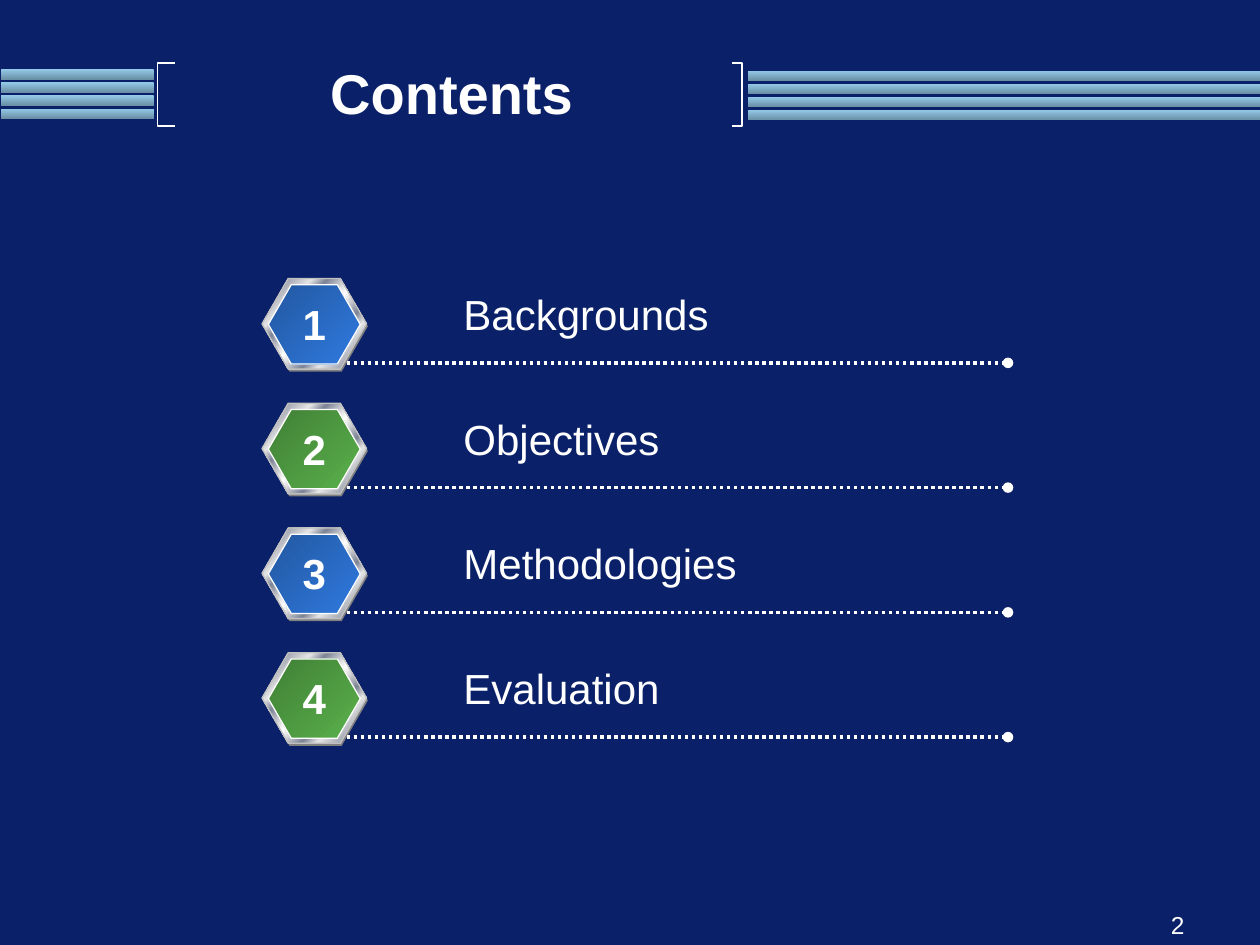
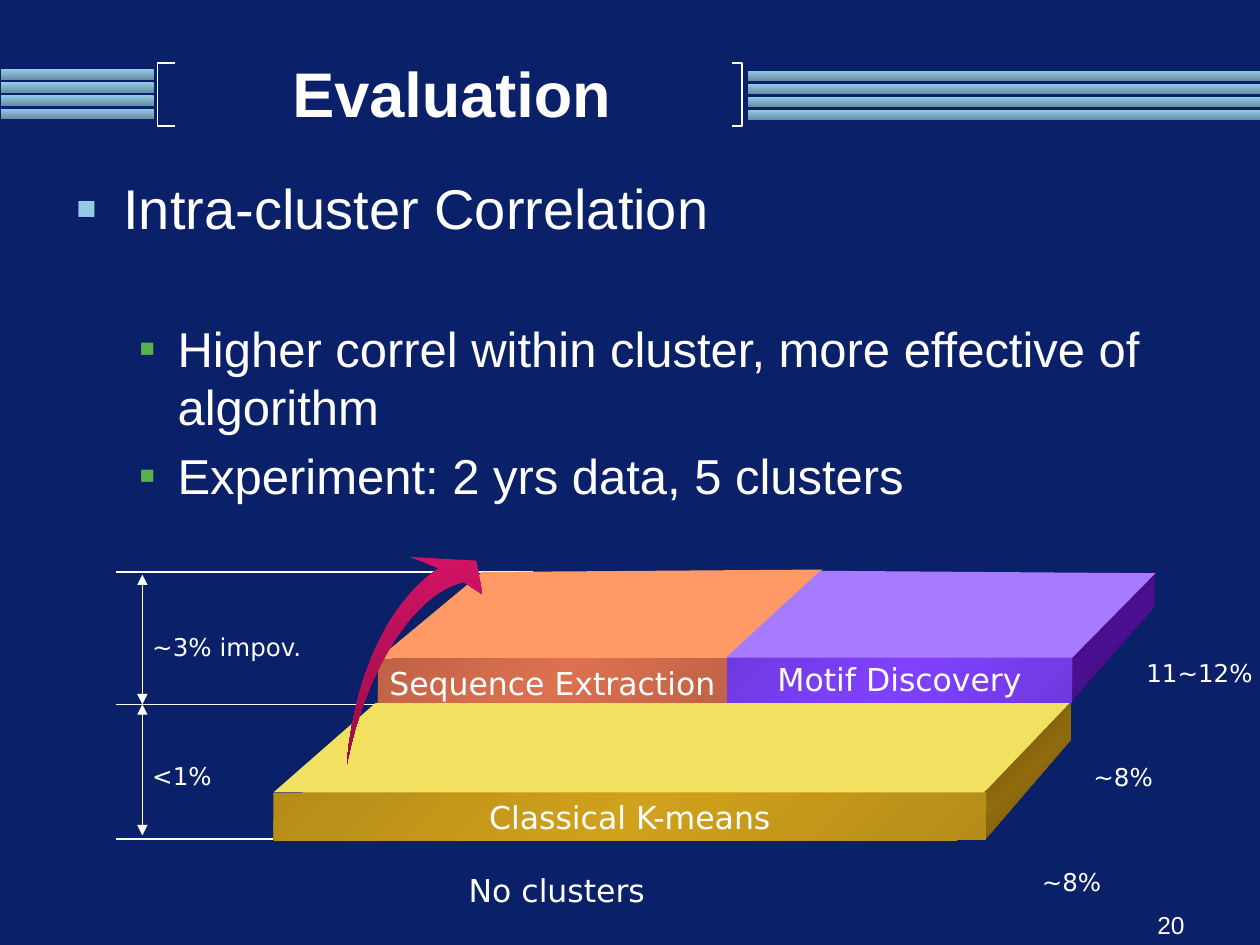
from lxml.etree import SubElement
from pptx import Presentation
from pptx.dml.color import RGBColor
from pptx.enum.dml import MSO_LINE
from pptx.enum.shapes import MSO_CONNECTOR, MSO_SHAPE
from pptx.enum.text import MSO_ANCHOR, MSO_AUTO_SIZE, PP_ALIGN
from pptx.oxml.ns import qn
from pptx.util import Inches, Pt

WIDTH, HEIGHT = Inches(10), Inches(7.5)
CELL = WIDTH / 10
HEADING_FONT, LABEL_FONT = "Arial", "DejaVu Sans"
COLORS = {
    "navy": "0A2068", "white": "FFFFFF", "sky": "94CAE8", "slate": "6A90A6",
    "gray": "808080", "silver": "C0C0C0", "chrome": "E6E6E6", "steel": "7D8496",
    "deep_blue": "2257A0", "blue": "2F7ADF", "deep_green": "407F36", "green": "5AB14B",
    "orange": "FF9966", "rust": "BF6246", "coral": "DC7150",
    "lilac": "A77BFF", "violet": "6F39DE", "bright_violet": "8041FF",
    "dark_violet": "360B68", "side_violet": "4B1092",
    "yellow": "F2E160", "ochre": "B58C18", "gold": "D0A11C",
    "dark_gold": "674D0A", "side_gold": "906B0E",
    "pink": "D11364", "crimson": "960E48",
}
METAL = list(zip(
    (0, 7, 26, 34, 46, 50, 54, 66, 74, 93, 100),
    ("chrome", "steel", "chrome", "steel", "chrome", "white",
     "chrome", "steel", "chrome", "steel", "chrome")))
TOPICS = ("Backgrounds", "Objectives", "Methodologies", "Evaluation")
TOPIC_WIDTHS = (2.17, 1.77, 2.4, 1.78)


def grid(*cells):
    return [round(cell * CELL) for cell in cells]


def color(name):
    return RGBColor.from_string(COLORS[name])


def sheen(edge, middle):
    return [(0, edge), (50, middle), (100, edge)]


def paint(shape, fill=None, angle=45, outline=None):
    shape.shadow.inherit = False
    if fill is None:
        shape.fill.background()
    elif isinstance(fill, str):
        shape.fill.solid()
        shape.fill.fore_color.rgb = color(fill)
    else:
        shape.fill.gradient()
        shape.fill.gradient_angle = 360 - angle
        stops = shape._element.spPr.find(qn("a:gradFill")).find(qn("a:gsLst"))
        for stop in list(stops):
            stops.remove(stop)
        for position, name in fill:
            stop = SubElement(stops, qn("a:gs"), pos=str(position * 1000))
            SubElement(stop, qn("a:srgbClr"), val=COLORS[name])
    if outline:
        shape.line.color.rgb = color(outline)
        shape.line.width = Pt(0.75)
    else:
        shape.line.fill.background()
    return shape


def style(para, size, font=HEADING_FONT, bold=False, align=None):
    para.alignment = align
    for span in para.runs:
        span.font.size = Pt(size)
        span.font.name = font
        span.font.bold = bold
        span.font.color.rgb = color("white")


def write(shape, text, size, font=HEADING_FONT, bold=False, align=PP_ALIGN.LEFT,
          anchor=MSO_ANCHOR.TOP, wrap=False):
    frame = shape.text_frame
    frame.text = text
    frame.word_wrap = wrap
    frame.vertical_anchor = anchor
    style(frame.paragraphs[0], size, font, bold, align)


def add_label(page, place, text, size, **look):
    write(page.shapes.add_textbox(*grid(*place)), text, size, **look)


def add_block(page, kind, place, fill, angle=45, outline=None):
    shape = page.shapes.add_shape(kind, *grid(*place))
    return paint(shape, fill, angle, outline)


def add_outline(page, points, fill=None, angle=45, outline=None, close=True):
    corners = [grid(*point) for point in points]
    builder = page.shapes.build_freeform(*corners[0], scale=1.0)
    builder.add_line_segments(corners[1:], close=close)
    return paint(builder.convert_to_shape(), fill, angle, outline)


def add_line(page, start, end, width=0.75, dash=None, head=None, tail=None):
    line = page.shapes.add_connector(MSO_CONNECTOR.STRAIGHT, *grid(*start, *end))
    line.line.color.rgb = color("white")
    line.line.width = Pt(width)
    if dash:
        line.line.dash_style = dash
    properties = line._element.spPr
    for tag, tip in (("a:headEnd", head), ("a:tailEnd", tail)):
        if tip:
            SubElement(properties.find(qn("a:ln")), qn(tag), type=tip)
    SubElement(properties, qn("a:effectLst"))


def place_holder(holder, place):
    holder.left, holder.top, holder.width, holder.height = grid(*place)


def add_page(deck, layout, title, title_size, number):
    page = deck.slides.add_slide(deck.slide_layouts[layout])
    for left, width, top in ((0.01, 1.21, 0.55), (5.94, 4.06, 0.56)):
        for band in range(4):
            add_block(page, MSO_SHAPE.RECTANGLE, (left, top + band * 0.104, width, 0.08),
                      [(0, "sky"), (100, "slate")], angle=90)
    for open_side, spine in ((1.39, 1.25), (5.81, 5.89)):
        add_outline(page, [(open_side, 0.5), (spine, 0.5), (spine, 1), (open_side, 1)],
                    outline="white", close=False)
    place_holder(page.shapes.title, (1.42, 0.42, 4.33, 0.62))
    write(page.shapes.title, title, title_size, bold=True, align=PP_ALIGN.CENTER,
          anchor=MSO_ANCHOR.MIDDLE, wrap=True)
    page.shapes.title.text_frame.auto_size = MSO_AUTO_SIZE.NONE
    add_label(page, (7.17, 7.17, 2.33, 0.27), str(number), 14, align=PP_ALIGN.RIGHT, wrap=True)
    return page


def add_topic(page, index, topic, width):
    top = 2.21 + index * 0.99
    tone = ("deep_green", "green") if index % 2 else ("deep_blue", "blue")
    face = [(0, tone[0]), (100, tone[1])]
    layers = (
        ((2.09, top + 0.02, 0.83, 0.72), "gray", None),
        ((2.08, top, 0.83, 0.72), METAL, "silver"),
        ((2.13, top + 0.05, 0.73, 0.63), face, "white"),
    )
    for place, fill, outline in layers:
        hexagon = add_block(page, MSO_SHAPE.HEXAGON, place, fill, outline=outline)
        hexagon.adjustments[0] = 0.289
    add_line(page, (2.75, top + 0.67), (8, top + 0.67), 2, MSO_LINE.ROUND_DOT, tail="oval")
    add_label(page, (3.58, top + 0.03, width, 0.51), topic, 24)
    add_label(page, (2.3, top + 0.11, 0.39, 0.5), str(index + 1), 24,
              bold=True, align=PP_ALIGN.CENTER)


def add_bullet(para, tint, margin, indent, percent=100):
    properties = para._p.get_or_add_pPr()
    properties.set("marL", str(Inches(margin)))
    properties.set("indent", str(Inches(indent)))
    SubElement(SubElement(properties, qn("a:buClr")), qn("a:srgbClr"), val=COLORS[tint])
    SubElement(properties, qn("a:buSzPct"), val=str(percent * 1000))
    SubElement(properties, qn("a:buFont"), typeface=HEADING_FONT)
    SubElement(properties, qn("a:buChar"), char="▪")


def fill_body(body, heading, details):
    place_holder(body, (0.5, 1.33, 9, 3.5))
    frame = body.text_frame
    frame.auto_size = MSO_AUTO_SIZE.NONE
    frame.text = heading
    style(frame.paragraphs[0], 32)
    add_bullet(frame.paragraphs[0], "sky", 0.38, -0.38, 115)
    for index, detail in enumerate(details):
        para = frame.add_paragraph()
        para.text = detail
        para.level = 1
        if index == 0:
            para.space_before = Pt(44)
        style(para, 28)
        add_bullet(para, "green", 0.81, -0.31)


def curve(start, pull, push, end, steps=16):
    for step in range(steps + 1):
        t = step / steps
        weights = ((1 - t) ** 3, 3 * t * (1 - t) ** 2, 3 * t * t * (1 - t), t ** 3)
        yield tuple(sum(w * point[axis] for w, point in zip(weights, (start, pull, push, end)))
                    for axis in (0, 1))


def add_front(page, place, fill, text):
    front = add_block(page, MSO_SHAPE.RECTANGLE, place, fill)
    write(front, text, 18, font=LABEL_FONT, align=PP_ALIGN.CENTER, anchor=MSO_ANCHOR.MIDDLE)


def add_steps(page):
    add_outline(page, [(9.16, 4.82), (8.5, 5.57), (8.5, 5.19), (9.16, 4.53)],
                sheen("dark_violet", "side_violet"))
    add_outline(page, [(8.5, 5.87), (7.83, 6.65), (7.83, 6.27), (8.5, 5.58)],
                sheen("dark_gold", "side_gold"))
    for right, level in ((2.17, 6.66), (3.26, 5.59), (4.23, 4.54)):
        add_line(page, (right, level), (0.92, level))
    for top, bottom in ((4.56, 5.59), (5.59, 6.63)):
        add_line(page, (1.13, top), (1.13, bottom), head="triangle", tail="triangle")
    add_front(page, (5.77, 5.2, 2.74, 0.38), sheen("violet", "bright_violet"), "Motif Discovery")
    add_outline(page, [(5.76, 5.23), (3, 5.23), (3.83, 4.54), (6.53, 4.52)], "orange")
    add_front(page, (3, 5.23, 2.77, 0.38), sheen("rust", "coral"), "Sequence Extraction")
    add_front(page, (2.17, 6.29, 5.66, 0.38), sheen("ochre", "gold"), "Classical K-means")
    add_outline(page, [(8.51, 5.22), (5.76, 5.22), (6.51, 4.53), (9.17, 4.55)], "lilac")
    add_outline(page, [(7.81, 6.29), (2.17, 6.29), (2.98, 5.58), (8.49, 5.58)], "yellow")
    outer = curve((2.75, 6.08), (2.83, 5.17), (3.2, 4.7), (3.48, 4.51))
    inner = curve((3.68, 4.62), (3.3, 4.7), (2.9, 5.3), (2.75, 6.08))
    tip = [(3.25, 4.42), (3.78, 4.45), (3.83, 4.72)]
    add_outline(page, [*outer, *tip, *inner], [(0, "pink"), (100, "crimson")], angle=90)


def main():
    deck = Presentation()
    deck.slide_width, deck.slide_height = WIDTH, HEIGHT
    backdrop = deck.slide_master.background.fill
    backdrop.solid()
    backdrop.fore_color.rgb = color("navy")

    contents = add_page(deck, 5, "Contents", 32, 2)
    for index, (topic, width) in enumerate(zip(TOPICS, TOPIC_WIDTHS)):
        add_topic(contents, index, topic, width)

    evaluation = add_page(deck, 1, "Evaluation", 36, 20)
    fill_body(evaluation.placeholders[1], "Intra-cluster Correlation",
              ("Higher correl within cluster, more effective of algorithm",
               "Experiment: 2 yrs data, 5 clusters"))
    add_steps(evaluation)
    add_label(evaluation, (1.59, 6.87, 5.66, 0.38), "No clusters", 18, font=LABEL_FONT,
              align=PP_ALIGN.CENTER, anchor=MSO_ANCHOR.MIDDLE)
    for left, top, width, text in (
            (1.11, 4.97, 1.42, "~3% impov."), (1.11, 5.99, 0.7, "<1%"),
            (8.58, 6, 0.7, "~8%"), (8.17, 6.83, 0.7, "~8%"), (9, 5.17, 1.07, "11~12%")):
        add_label(evaluation, (left, top, width, 0.34), text, 14, font=LABEL_FONT)
    deck.save("out.pptx")


if __name__ == "__main__":
    main()
